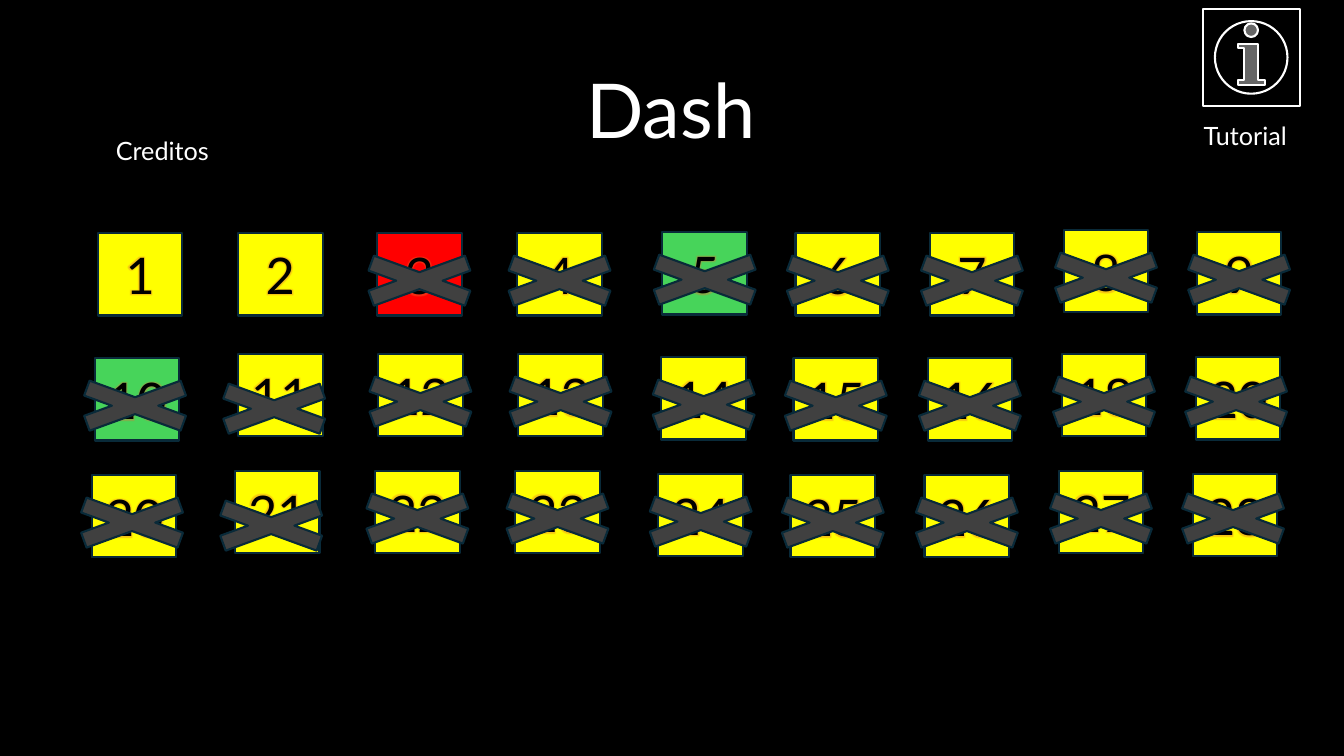
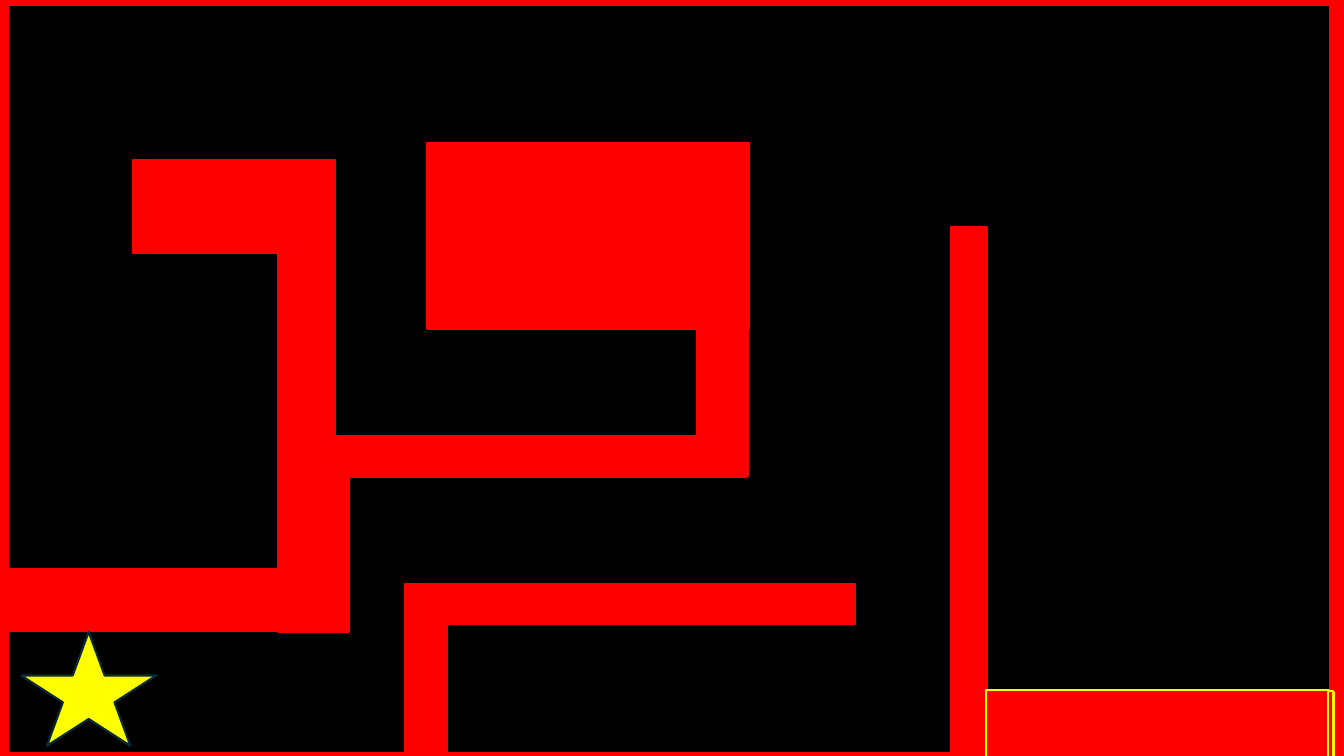
from lxml import etree
from pptx import Presentation
from pptx.dml.color import RGBColor
from pptx.enum.shapes import MSO_SHAPE as SHAPE
from pptx.enum.text import MSO_ANCHOR as ANCHOR, MSO_AUTO_SIZE as FIT, PP_ALIGN as ALIGN
from pptx.oxml import parse_xml
from pptx.oxml.ns import nsdecls
from pptx.util import Pt

PX = 9144
WIDTH, HEIGHT = 1333, 750
FONT = "Lato"
TITLE_ONLY, BLANK = 5, 6
COLORS = {
    "black": "000000", "white": "FFFFFF", "yellow": "FFFF00", "red": "FF0000",
    "green": "47D45A", "gray": "404040", "edge": "092A39", "glow": "E97132",
}

TILE_W, TILE_H = 84, 82
CROSS_W, CROSS_H = 184, 67
CROSS_SHIFT = (-50, 14)
TOP_ROW = [(97, 231), (236, 231), (374, 231), (513, 231), (657, 230),
           (789, 231), (922, 231), (1055, 228), (1187, 230)]
MIDDLE_ROW = [(94, 355), (236, 351), (375, 351), (514, 351), (656, 354),
              (787, 355), (920, 355), (1053, 351), (1186, 354)]
BOTTOM_ROW = [(x - 3, y - -116) for x, y in MIDDLE_ROW]
LOWER_SHIFTS = {0: (-52, 14), 1: (-56, 21), 8: (-52, 11)}
LEVEL_ROWS = [
    (TOP_ROW, [1, 2, 3, 4, 5, 6, 7, 8, 9], {}),
    (MIDDLE_ROW, [10, 11, 12, 13, 14, 15, 16, 18, 20], LOWER_SHIFTS),
    (BOTTOM_ROW, [20, 21, 22, 23, 24, 25, 26, 27, 28], LOWER_SHIFTS),
]
OPEN_LEVELS = (1, 2)
LEVEL_COLORS = {3: "red", 5: "green", 10: "green"}

WALLS = [
    (0, -35, 1365, 40), (-16, 747, 1365, 40), (-28, -90, 36, 873),
    (1319, -62, 36, 873), (943, 225, 36, 873), (424, 142, 319, 184),
    (691, 323, 51, 149), (295, 433, 446, 40), (402, 579, 446, 40),
    (402, 580, 41, 194), (276, 433, 70, 194), (-33, 565, 374, 61),
    (276, 159, 56, 335), (132, 159, 144, 92),
]
GOALS = [(979, 685), (984, 687), (983, 686), (978, 685)]
GOAL_W, GOAL_H = 339, 217


def rgb(name):
    """Return the named palette colour."""
    return RGBColor.from_string(COLORS[name])


def emu(*lengths):
    """Turn px lengths into EMU."""
    return [n * PX for n in lengths]


def new_slide(prs, layout):
    """Add a slide with the black backdrop."""
    s = prs.slides.add_slide(prs.slide_layouts[layout])
    s.background.fill.solid()
    s.background.fill.fore_color.rgb = rgb("black")
    return s


def add_block(s, kind, box, fill, line):
    """Add a filled and outlined preset shape."""
    sp = s.shapes.add_shape(kind, *emu(*box))
    sp.shadow.inherit = False
    sp.fill.solid()
    sp.fill.fore_color.rgb = rgb(fill)
    sp.line.color.rgb = rgb(line)
    sp.line.width = Pt(1.5)
    return sp


def add_run(p, text, size, color):
    """Append a formatted run to a paragraph."""
    r = p.add_run()
    r.text = text
    r.font.size = Pt(size)
    r.font.name = FONT
    r.font.color.rgb = rgb(color)
    return r


def add_glow(r):
    """Give a run a soft glow."""
    effects = parse_xml(f'<a:effectLst {nsdecls("a")}/>')
    glow = etree.SubElement(effects, effects.tag.replace("effectLst", "glow"), rad="38100")
    color = etree.SubElement(glow, effects.tag.replace("effectLst", "srgbClr"), val=COLORS["glow"])
    etree.SubElement(color, effects.tag.replace("effectLst", "alpha"), val="40000")
    r.font.fill._xPr.find(effects.tag.replace("effectLst", "solidFill")).addnext(effects)


def set_title(s, text, box):
    """Place and format the slide title."""
    sp = s.shapes.title
    sp.left, sp.top, sp.width, sp.height = emu(*box)
    tf = sp.text_frame
    tf.auto_size = FIT.NONE
    tf.vertical_anchor = ANCHOR.BOTTOM
    p = tf.paragraphs[0]
    p.alignment = ALIGN.CENTER
    p.line_spacing = 0.9
    add_run(p, text, 54, "white")


def add_label(s, text, left, top):
    """Add a small white caption."""
    tf = s.shapes.add_textbox(*emu(left, top, 122, 40)).text_frame
    tf.word_wrap = True
    tf.auto_size = FIT.SHAPE_TO_FIT_TEXT
    add_run(tf.paragraphs[0], text, 18, "white")


def add_level(s, number, left, top, shift):
    """Add a numbered level tile, crossed out while locked."""
    fill = LEVEL_COLORS.get(number, "yellow")
    sp = add_block(s, SHAPE.RECTANGLE, (left, top, TILE_W, TILE_H), fill, "edge")
    tf = sp.text_frame
    tf.vertical_anchor = ANCHOR.MIDDLE
    p = tf.paragraphs[0]
    p.alignment = ALIGN.CENTER
    add_glow(add_run(p, str(number), 36, "black"))
    if number not in OPEN_LEVELS:
        box = (left + shift[0], top + shift[1], CROSS_W, CROSS_H)
        add_block(s, SHAPE.MATH_MULTIPLY, box, "gray", "edge")


def build_menu(prs):
    """Build the level menu."""
    s = new_slide(prs, TITLE_ONLY)
    set_title(s, "Dash", (559, 59, 213, 100))
    add_block(s, SHAPE.ACTION_BUTTON_INFORMATION, (1193, 9, 96, 96), "black", "white")
    add_label(s, "Tutorial", 1184, 114)
    for spots, numbers, shifts in LEVEL_ROWS:
        for col, ((left, top), number) in enumerate(zip(spots, numbers)):
            add_level(s, number, left, top, shifts.get(col, CROSS_SHIFT))
    add_label(s, "Creditos", 105, 129)


def build_maze(prs):
    """Build the maze level."""
    s = new_slide(prs, BLANK)
    for box in WALLS:
        add_block(s, SHAPE.RECTANGLE, box, "red", "red")
    for left, top in GOALS:
        add_block(s, SHAPE.RECTANGLE, (left, top, GOAL_W, GOAL_H), "red", "yellow")
    add_block(s, SHAPE.STAR_5_POINT, (21, 627, 134, 113), "yellow", "edge")


def main():
    """Build and save the presentation."""
    prs = Presentation()
    prs.slide_width, prs.slide_height = emu(WIDTH, HEIGHT)
    build_menu(prs)
    build_maze(prs)
    prs.save("out.pptx")


if __name__ == "__main__":
    main()
